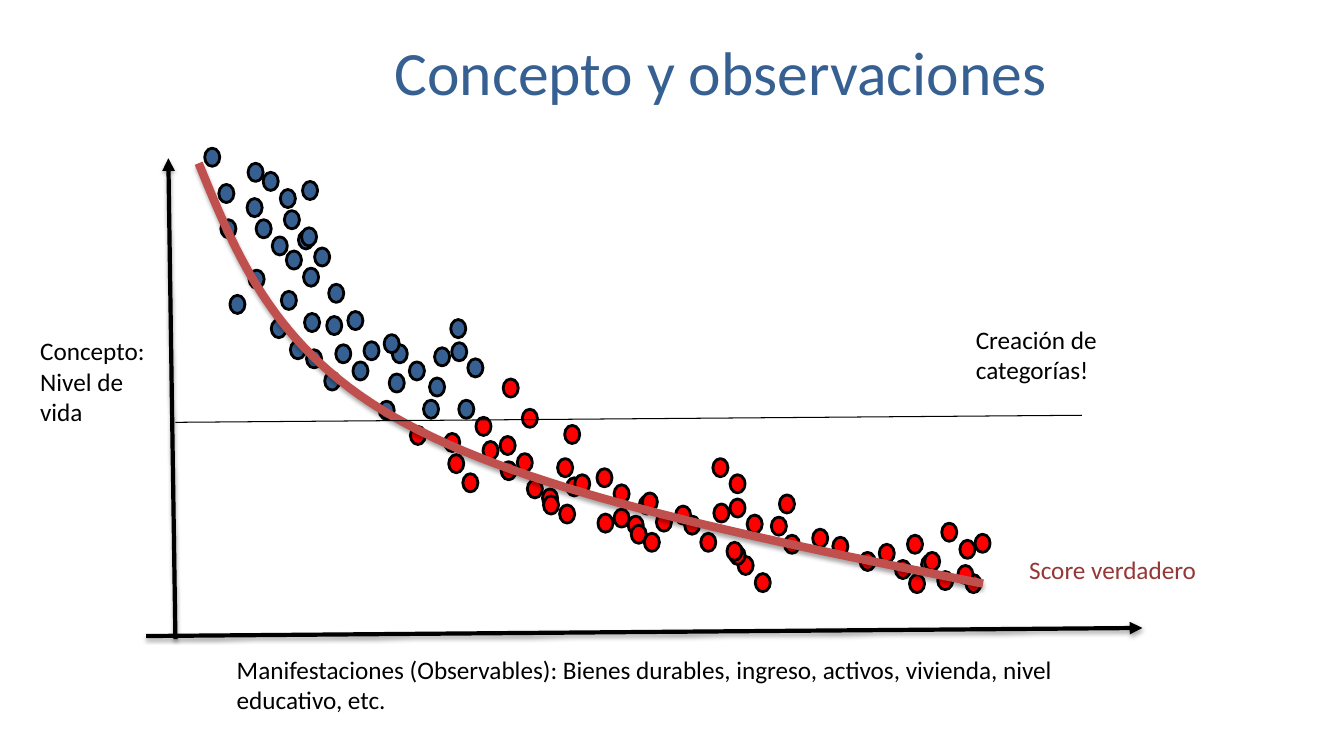
from lxml import etree
from pptx import Presentation
from pptx.dml.color import RGBColor
from pptx.enum.shapes import MSO_CONNECTOR, MSO_SHAPE
from pptx.enum.text import MSO_ANCHOR, PP_ALIGN
from pptx.oxml.ns import qn
from pptx.util import Inches, Pt

BLACK = RGBColor(0x00, 0x00, 0x00)
BLUE = RGBColor(0x37, 0x60, 0x92)
RED = RGBColor(0xFF, 0x00, 0x00)
CURVE_RED = RGBColor(0xC0, 0x50, 0x4D)
DARK_RED = RGBColor(0x95, 0x37, 0x35)

OVAL = MSO_SHAPE.OVAL
STRAIGHT = MSO_CONNECTOR.STRAIGHT
TOP, MIDDLE = MSO_ANCHOR.TOP, MSO_ANCHOR.MIDDLE
LEFT, CENTER = PP_ALIGN.LEFT, PP_ALIGN.CENTER

# Left and top of each observation, in inches
HIGH_LEVEL_DOTS = [
    (2.61, 1.71), (2.03, 1.47), (2.46, 1.62), (3, 1.8), (2.96, 2.29),
    (4.48, 3.4), (2.82, 2.09), (3.26, 2.82), (2.54, 2.18), (2.84, 2.49),
    (4.55, 3.97), (2.78, 1.88), (2.17, 1.83), (2.45, 1.97), (4.31, 3.45),
    (3.12, 2.46), (4.64, 3.56), (2.99, 2.26), (4.2, 3.97), (4.47, 3.17),
    (2.7, 2.35), (3.01, 2.66), (3.86, 3.71), (4.26, 3.75), (2.69, 3.17),
    (2.79, 2.89), (2.19, 2.18), (3.22, 3.69), (3.45, 3.09), (2.88, 3.38),
    (2.28, 2.93), (2.47, 2.68), (3.24, 3.14), (3.04, 3.47), (3.02, 3.11),
    (3.33, 3.42), (3.89, 3.42), (3.61, 3.39), (3.81, 3.32), (3.5, 3.59),
    (4.06, 3.59), (3.76, 3.98),
]
LOW_LEVEL_DOTS = [
    (5.18, 4.06), (4.72, 4.14), (5.38, 4.85), (5.53, 4.55), (5.23, 4.76),
    (5.62, 4.74), (6.34, 4.92), (6.09, 5.05), (5.6, 4.22), (4.99, 3.76),
    (5.92, 4.65), (6.23, 5.12), (6.79, 5.12), (5.55, 5.01), (5.7, 4.71),
    (5.39, 4.92), (5.93, 5.1), (6.51, 5.09), (6.26, 5.21), (6.37, 4.89),
    (6.7, 5.02), (6.09, 4.81), (6.39, 5.29), (6.95, 5.29), (7.65, 5.13),
    (7.24, 4.95), (7.73, 4.91), (7.07, 4.55), (7.32, 5.52), (7.08, 5),
    (7.41, 5.11), (7.24, 5.42), (7.24, 4.71), (7.49, 5.69), (9.14, 5.51),
    (9.52, 5.36), (9, 5.31), (7.78, 5.31), (8.72, 5.4), (9.02, 5.7),
    (9.58, 5.7), (7.21, 5.38), (9.34, 5.19), (9.3, 5.67), (9.67, 5.3),
    (9.17, 5.48), (9.5, 5.61), (8.88, 5.56), (8.06, 5.25), (8.26, 5.33),
    (8.53, 5.48), (4.59, 4.7), (4.96, 4.33), (4.45, 4.51), (4.41, 4.3),
    (4.79, 4.38), (5.13, 4.5), (4.97, 4.58), (4.07, 4.23),
]
# Two cubic curves that share their middle point
SCORE_CURVE = [(1.97, 1.62), (2.36, 2.57), (2.74, 3.52), (4.04, 4.21),
               (5.33, 4.91), (7.54, 5.35), (9.75, 5.79)]


def write_text(text_frame, text, *, size=18, color=BLACK, font="Calibri", align=LEFT):
    """Write each line of the text as one formatted paragraph."""
    for index, line in enumerate(text.split("\n")):
        paragraph = text_frame.add_paragraph() if index else text_frame.paragraphs[0]
        paragraph.alignment = align
        run = paragraph.add_run()
        run.text = line
        run.font.name = font
        run.font.size = Pt(size)
        run.font.color.rgb = color


def curve_points(controls, steps=30):
    """Return points along a chain of cubic curves."""
    points = [controls[0]]
    for first in range(0, len(controls) - 1, 3):
        segment = controls[first:first + 4]
        for step in range(1, steps + 1):
            t = step / steps
            weights = ((1 - t) ** 3, 3 * t * (1 - t) ** 2, 3 * t ** 2 * (1 - t), t ** 3)
            points.append(tuple(sum(w * c for w, c in zip(weights, axis))
                                for axis in zip(*segment)))
    return points


class ScatterSlide:
    dot_width, dot_height, dot_outline = 0.15, 0.18, 2

    def __init__(self, presentation):
        self.slide = presentation.slides.add_slide(presentation.slide_layouts[6])
        self.shapes = self.slide.shapes

    def text(self, left, top, width, height, text, anchor=TOP, **text_format):
        box = self.shapes.add_textbox(Inches(left), Inches(top), Inches(width), Inches(height))
        box.text_frame.word_wrap = True
        box.text_frame.vertical_anchor = anchor
        write_text(box.text_frame, text, **text_format)

    def dot(self, left, top, color):
        shape = self.shapes.add_shape(OVAL, Inches(left), Inches(top),
                                      Inches(self.dot_width), Inches(self.dot_height))
        shape.shadow.inherit = False
        shape.fill.solid()
        shape.fill.fore_color.rgb = color
        self.stroke(shape, BLACK, self.dot_outline)

    def line(self, start, end, width, arrow=False):
        connector = self.shapes.add_connector(STRAIGHT, *map(Inches, start + end))
        self.stroke(connector, BLACK, width)
        if arrow:
            outline = connector.element.spPr.find(qn("a:ln"))
            etree.SubElement(outline, qn("a:tailEnd"), type="triangle")
        self.effects(connector, shadow=arrow)

    def curve(self, controls, color, width):
        start, *rest = [(Inches(x), Inches(y)) for x, y in curve_points(controls)]
        builder = self.shapes.build_freeform(*start)
        builder.add_line_segments(rest, close=False)
        shape = builder.convert_to_shape()
        shape.fill.background()
        self.stroke(shape, color, width)
        self.effects(shape, shadow=True)

    def stroke(self, shape, color, width):
        shape.line.color.rgb = color
        shape.line.width = Pt(width)

    def effects(self, shape, shadow):
        effect_list = etree.SubElement(shape.element.spPr, qn("a:effectLst"))
        if shadow:
            outer = etree.SubElement(effect_list, qn("a:outerShdw"), blurRad=str(int(Pt(3.1))),
                                     dist=str(int(Pt(1.8))), dir="5400000", rotWithShape="0")
            tint = etree.SubElement(outer, qn("a:srgbClr"), val=str(BLACK))
            etree.SubElement(tint, qn("a:alpha"), val="35000")


def main():
    presentation = Presentation()
    presentation.slide_width, presentation.slide_height = Inches(13.33), Inches(7.5)
    page = ScatterSlide(presentation)

    # Title
    page.text(1.4, 0.14, 11.5, 1.12, "Concepto y observaciones", MIDDLE,
              size=44, color=BLUE, align=CENTER)

    # Observations
    for dots, color in ((HIGH_LEVEL_DOTS, BLUE), (LOW_LEVEL_DOTS, RED)):
        for left, top in dots:
            page.dot(left, top, color)

    # Axes and their labels
    page.line((1.74, 6.34), (1.67, 1.57), 3, arrow=True)
    page.line((1.45, 6.31), (11.33, 6.23), 3, arrow=True)
    page.text(0.3, 3.28, 1.44, 1.01, "Concepto:\nNivel de vida")
    page.text(2.25, 6.44, 8.43, 0.71, "Manifestaciones (Observables): Bienes durables, "
              "ingreso, activos, vivienda, nivel educativo, etc.")

    # True score
    page.curve(SCORE_CURVE, CURVE_RED, 6)
    page.text(10.11, 5.45, 1.86, 0.4, "Score verdadero", color=DARK_RED)

    # Category threshold
    page.line((1.74, 4.19), (10.73, 4.12), 0.75)
    page.text(9.58, 3.17, 1.61, 0.71, "Creación de categorías!")

    presentation.save("out.pptx")


if __name__ == "__main__":
    main()
